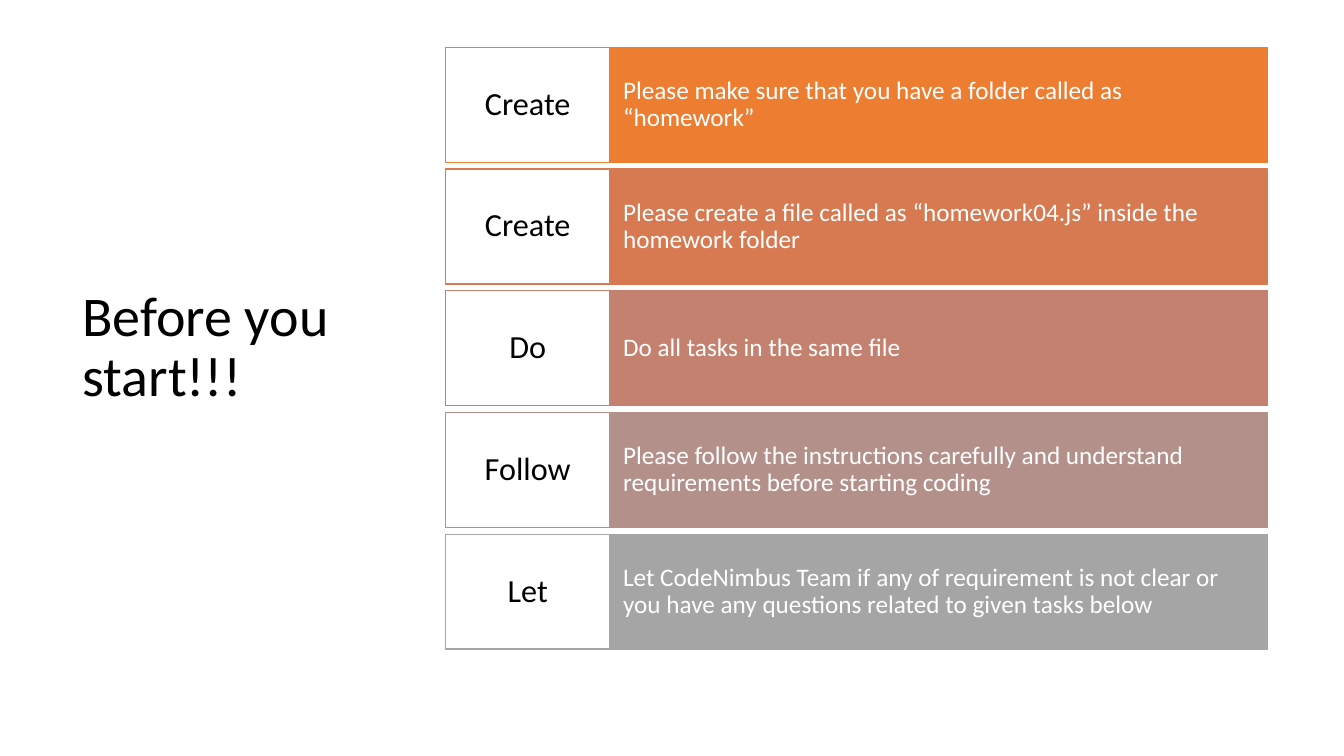
from pptx import Presentation
from pptx.dml.color import RGBColor
from pptx.enum.shapes import MSO_SHAPE
from pptx.enum.text import MSO_ANCHOR, PP_ALIGN
from pptx.util import Inches, Pt


def color(code):
    return RGBColor.from_string(code)


class Deck:
    font = "Calibri"
    black = "000000"
    white = "FFFFFF"

    def __init__(self, slide):
        self.slide = slide

    def label(self, frame, text, size, ink, align, pad):
        frame.word_wrap = True
        frame.vertical_anchor = MSO_ANCHOR.MIDDLE
        side, edge = pad
        frame.margin_left = frame.margin_right = Inches(side)
        frame.margin_top = frame.margin_bottom = Inches(edge)
        para = frame.paragraphs[0]
        para.alignment = align
        para.line_spacing = 0.9
        run = para.add_run()
        run.text = text
        run.font.name = self.font
        run.font.size = Pt(size)
        run.font.color.rgb = color(ink)

    def title(self, box, text):
        shape = self.slide.shapes.add_textbox(*map(Inches, box))
        self.label(shape.text_frame, text, 40, self.black,
                   PP_ALIGN.LEFT, (0.1, 0.05))

    def panel(self, box, text, fill, line, size, ink, align, pad):
        shape = self.slide.shapes.add_shape(
            MSO_SHAPE.RECTANGLE, *map(Inches, box))
        shape.shadow.inherit = False
        shape.fill.solid()
        shape.fill.fore_color.rgb = color(fill)
        shape.line.color.rgb = color(line)
        shape.line.width = Pt(1)
        self.label(shape.text_frame, text, size, ink, align, pad)

    def step(self, top, verb, text, tint):
        # Detail bar first, so the verb cell lies over its edge
        self.panel((6.05, top, 6.52, 1.14), text, tint, tint,
                   18, self.white, PP_ALIGN.LEFT, (0.13, 0.29))
        self.panel((4.42, top, 1.63, 1.14), verb, self.white, tint,
                   23, self.black, PP_ALIGN.CENTER, (0.09, 0.11))


STEPS = [
    ("Create", "Please make sure that you have a folder called as “homework”",
     "ED7D31"),
    ("Create", "Please create a file called as “homework04.js” inside the "
     "homework folder", "D87A51"),
    ("Do", "Do all tasks in the same file", "C48170"),
    ("Follow", "Please follow the instructions carefully and understand "
     "requirements before starting coding", "B4908B"),
    ("Let", "Let CodeNimbus Team if any of requirement is not clear or you "
     "have any questions related to given tasks below", "A5A5A5"),
]


def main():
    show = Presentation()
    show.slide_width = Inches(13.33)
    show.slide_height = Inches(7.5)
    deck = Deck(show.slides.add_slide(show.slide_layouts[6]))

    # Title
    deck.title((0.72, 0.47, 3.1, 5.97), "Before you start!!!")

    # Steps, evenly spaced from first to last top
    first, last = 0.47, 5.3
    pitch = (last - first) / (len(STEPS) - 1)
    for row, (verb, text, tint) in enumerate(STEPS):
        deck.step(first + row * pitch, verb, text, tint)

    show.save("out.pptx")


if __name__ == "__main__":
    main()
